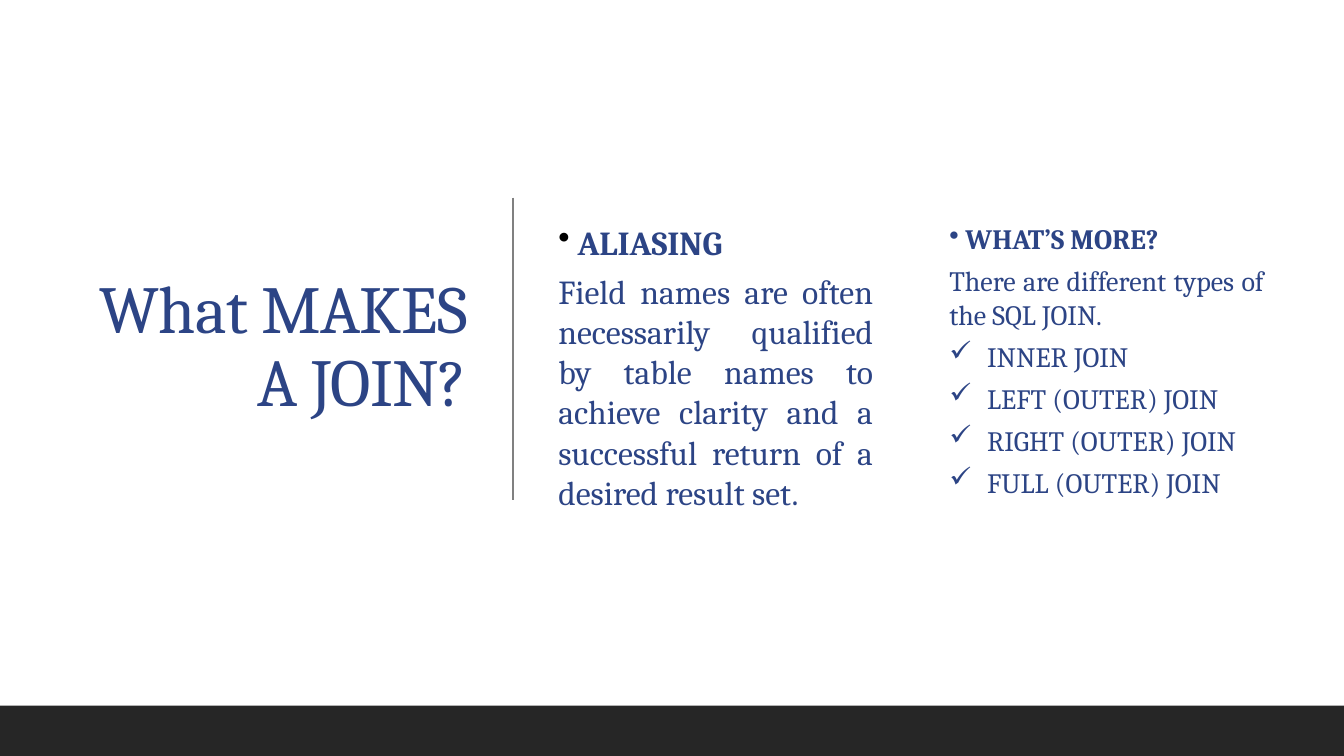
from lxml import etree
from pptx import Presentation
from pptx.dml.color import RGBColor
from pptx.enum import shapes, text
from pptx.oxml import ns
from pptx.util import Pt

NAVY = RGBColor(0x2C, 0x44, 0x85)
BLACK = RGBColor(0, 0, 0)
GRAY = RGBColor(0x80, 0x80, 0x80)
CHARCOAL = RGBColor(0x26, 0x26, 0x26)
FONT = "Cambria"
WIDTH, HEIGHT, BAR_HEIGHT = 960, 540, 36
COLUMN_TOP, COLUMN_WIDTH = 154.8, 239
JOIN_TYPES = ["INNER JOIN", "LEFT (OUTER) JOIN", "RIGHT (OUTER) JOIN", "FULL (OUTER) JOIN"]


def add_box(page, left, top, width, height, anchor=text.MSO_ANCHOR.TOP):
    box = page.shapes.add_textbox(Pt(left), Pt(top), Pt(width), Pt(height))
    box.text_frame.word_wrap = True
    box.text_frame.vertical_anchor = anchor
    return box


def add_span(para, words, size, color=NAVY, bold=False, tracking=0):
    span = para.add_run()
    span.text = words
    span.font.name = FONT
    span.font.size = Pt(size)
    span.font.bold = bold
    span.font.color.rgb = color
    if tracking:
        span.font._element.set("spc", str(round(tracking * 100)))


def add_text(box, words, size, align=text.PP_ALIGN.JUSTIFY, after=6, line=1.0,
             bullet=None, bullet_color=None, hang=0, bold=False, tracking=0):
    frame = box.text_frame
    para = frame.paragraphs[0]
    if para.runs:
        para = frame.add_paragraph()
    para.alignment = align
    para.space_after = Pt(after)
    para.line_spacing = line
    if bullet:
        properties = para._p.get_or_add_pPr()
        properties.set("marL", str(Pt(hang)))
        properties.set("indent", str(-Pt(hang)))
        etree.SubElement(properties, ns.qn("a:buChar")).set("char", bullet)
    if bullet_color is not None:
        # The bullet takes the colour of the leading space
        add_span(para, " ", size, bullet_color, bold)
    add_span(para, words, size, bold=bold, tracking=tracking)


def add_bar(page):
    bar = page.shapes.add_shape(shapes.MSO_SHAPE.RECTANGLE, 0, Pt(HEIGHT - BAR_HEIGHT),
                                Pt(WIDTH), Pt(BAR_HEIGHT))
    bar.shadow.inherit = False
    bar.fill.solid()
    bar.fill.fore_color.rgb = CHARCOAL
    bar.line.fill.background()


def add_divider(page, x, top, bottom):
    divider = page.shapes.add_connector(shapes.MSO_CONNECTOR.STRAIGHT,
                                        Pt(x), Pt(top), Pt(x), Pt(bottom))
    divider.line.color.rgb = GRAY
    divider.line.width = Pt(1)
    etree.SubElement(divider._element.spPr, ns.qn("a:effectLst"))


def main():
    deck = Presentation()
    deck.slide_width, deck.slide_height = Pt(WIDTH), Pt(HEIGHT)
    page = deck.slides.add_slide(deck.slide_layouts[6])

    # Title and divider
    title = add_box(page, 50.4, 49.7, 290.2, 398.2, text.MSO_ANCHOR.MIDDLE)
    add_text(title, "What MAKES A JOIN?", 48, align=text.PP_ALIGN.RIGHT,
             after=0, line=0.9, tracking=-0.5)
    add_divider(page, 366.5, 141.1, 357.1)

    # Bottom bar
    add_bar(page)

    # Aliasing column
    aliasing = add_box(page, 391.7, COLUMN_TOP, COLUMN_WIDTH, 193)
    add_text(aliasing, "ALIASING", 24, align=text.PP_ALIGN.LEFT,
             bullet="•", bullet_color=BLACK, bold=True)
    add_text(aliasing, "Field names are often necessarily qualified by table names to "
             "achieve clarity and a successful return of a desired result set.", 24)

    # Join types column
    joins = add_box(page, 671, COLUMN_TOP, COLUMN_WIDTH, 280)
    add_text(joins, "WHAT’S MORE?", 20, bullet="•", bullet_color=NAVY, bold=True)
    add_text(joins, "There are different types of the SQL JOIN.", 20)
    for join_type in JOIN_TYPES:
        add_text(joins, join_type, 20, bullet="✓", hang=27)

    deck.save("out.pptx")


if __name__ == "__main__":
    main()
